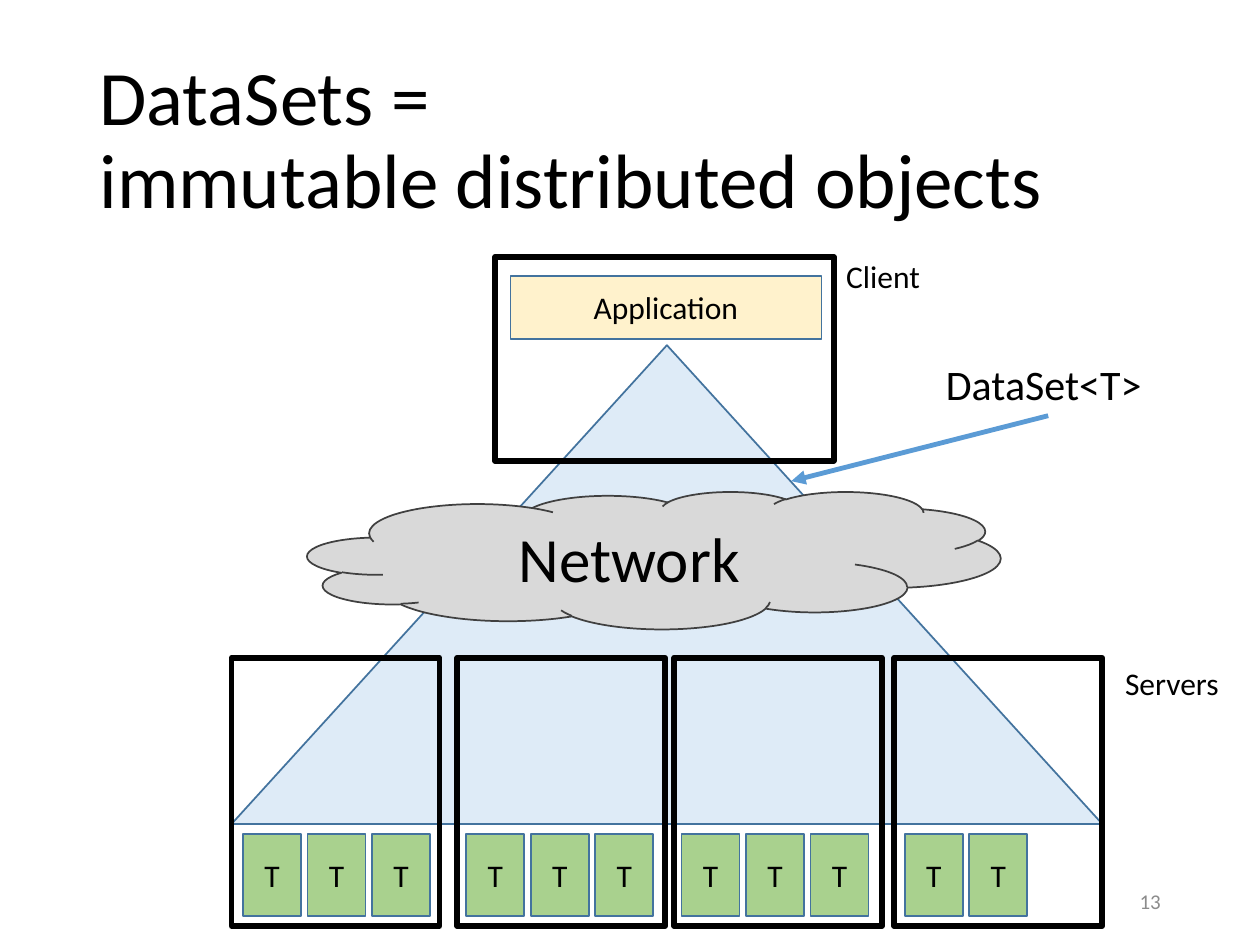
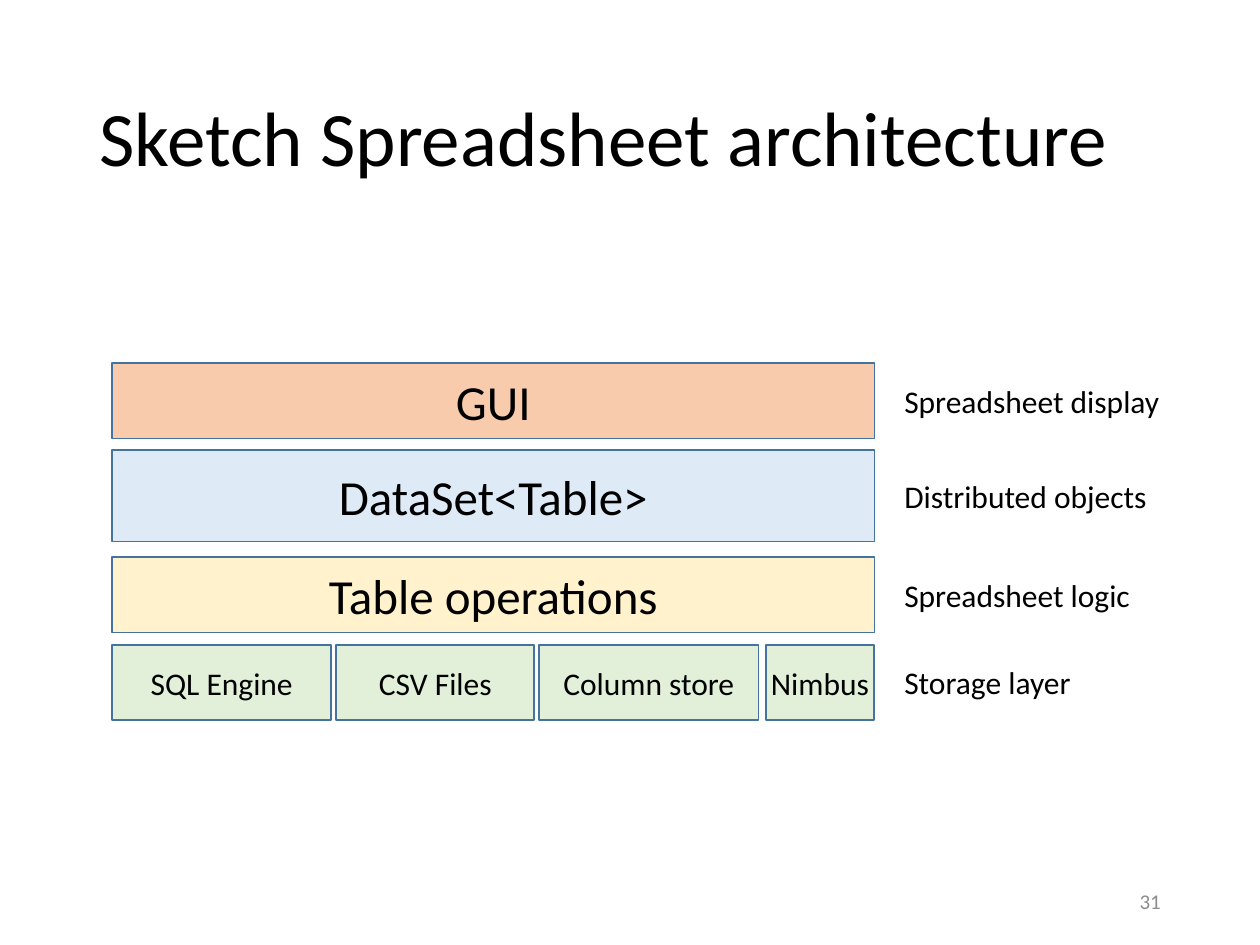
from typing import NamedTuple, Optional

from pptx import Presentation
from pptx.dml.color import RGBColor
from pptx.enum.shapes import MSO_CONNECTOR, MSO_SHAPE
from pptx.enum.text import MSO_ANCHOR, MSO_AUTO_SIZE as AutoSize, PP_ALIGN as Align
from pptx.oxml.ns import qn
from pptx.shapes.autoshape import Shape
from pptx.slide import Slide
from pptx.util import Cm, Pt
from lxml.etree import SubElement

COLORS = {
    "text": "000000",
    "page_number": "8C8C8C",
    "outline": "43739E",
    "frame": "000000",
    "cloud": "D9D9D9",
    "cloud_line": "404040",
    "arrow": "5B9BD5",
    "blue": "DEEBF7",
    "yellow": "FFF2CC",
    "orange": "F8CBAD",
    "green": "A9D18E",
    "pale_green": "E2F0D9",
}
FONT = "Calibri"
LABEL_HEIGHT = 1.02


class Block(NamedTuple):
    """A preset shape; lengths in centimetres."""
    left: float
    top: float
    width: float
    height: float
    fill: Optional[str] = None
    text: str = ""
    size: int = 18
    kind: MSO_SHAPE = MSO_SHAPE.RECTANGLE
    line: str = "outline"
    weight: float = 1


class Label(NamedTuple):
    """A one-line text box; lengths in centimetres."""
    left: float
    top: float
    width: float
    text: str
    height: float = LABEL_HEIGHT
    size: int = 18


class Server(NamedTuple):
    left: float
    first_object: float
    object_count: int


class Layer(NamedTuple):
    top: float
    height: float
    fill: str
    text: str
    note: str
    note_width: float


class Store(NamedTuple):
    left: float
    width: float
    text: str


def color(name: str) -> RGBColor:
    return RGBColor.from_string(COLORS[name])


def style_text(shape: Shape, text: str, size: int, align: Align = Align.LEFT,
               text_color: str = "text") -> None:
    frame = shape.text_frame
    frame.text = text
    for para in frame.paragraphs:
        para.alignment = align
        para.font.name = FONT
        para.font.size = Pt(size)
        para.font.color.rgb = color(text_color)


def add_block(page: Slide, block: Block) -> Shape:
    shape = page.shapes.add_shape(block.kind, Cm(block.left), Cm(block.top),
                                  Cm(block.width), Cm(block.height))
    shape.shadow.inherit = False
    if block.fill:
        shape.fill.solid()
        shape.fill.fore_color.rgb = color(block.fill)
    else:
        shape.fill.background()
    shape.line.color.rgb = color(block.line)
    shape.line.width = Pt(block.weight)
    if block.text:
        frame = shape.text_frame
        frame.word_wrap = True
        frame.vertical_anchor = MSO_ANCHOR.MIDDLE
        frame.margin_left = frame.margin_right = Cm(0)
        style_text(shape, block.text, block.size, Align.CENTER)
    return shape


def add_label(page: Slide, label: Label) -> Shape:
    box = page.shapes.add_textbox(Cm(label.left), Cm(label.top),
                                  Cm(label.width), Cm(label.height))
    box.text_frame.word_wrap = False
    box.text_frame.auto_size = AutoSize.SHAPE_TO_FIT_TEXT
    style_text(box, label.text, label.size)
    return box


def add_arrow(page: Slide, source: Shape, end_left: float, end_top: float) -> None:
    """Draw an arrow from the bottom of a shape to a point."""
    arrow = page.shapes.add_connector(MSO_CONNECTOR.STRAIGHT, Cm(0), Cm(0),
                                      Cm(end_left), Cm(end_top))
    arrow.begin_connect(source, 2)
    arrow.line.color.rgb = color("arrow")
    arrow.line.width = Pt(2.75)
    properties = arrow.element.spPr
    SubElement(properties.find(qn("a:ln")), qn("a:tailEnd"), type="triangle")
    SubElement(properties, qn("a:effectLst"))


def add_page(deck: Presentation, title: str, number: int) -> Slide:
    """Add a page with the shared title style and page number."""
    page = deck.slides.add_slide(deck.slide_layouts[5])
    heading = page.shapes.title
    heading.left, heading.top = Cm(1.75), Cm(1.02)
    heading.width, heading.height = Cm(21.9), Cm(3.68)
    heading.text_frame.auto_size = AutoSize.NONE
    heading.text_frame.word_wrap = True
    heading.text_frame.vertical_anchor = MSO_ANCHOR.MIDDLE
    style_text(heading, title, 44)
    heading.text_frame.paragraphs[0].line_spacing = 0.9

    footer = page.shapes.add_textbox(Cm(17.93), Cm(17.65), Cm(5.72), Cm(1.02))
    footer.text_frame.word_wrap = True
    footer.text_frame.vertical_anchor = MSO_ANCHOR.MIDDLE
    style_text(footer, str(number), 12, Align.RIGHT, "page_number")
    return page


def add_frame(page: Slide, left: float, top: float, width: float, height: float) -> None:
    add_block(page, Block(left, top, width, height, line="frame", weight=3.25))


def build_datasets(deck: Presentation) -> None:
    page = add_page(deck, "DataSets =\vimmutable distributed objects", 13)

    # Distributed object spanning the network
    add_block(page, Block(4.67, 6.96, 17.55, 9.65, "blue",
                          kind=MSO_SHAPE.ISOSCELES_TRIANGLE))
    add_block(page, Block(6.2, 9.91, 13.97, 2.77, "cloud", "Network", 36,
                          MSO_SHAPE.CLOUD, "cloud_line"))

    # Client
    add_frame(page, 9.98, 5.18, 6.83, 4.11)
    add_block(page, Block(10.29, 5.56, 6.27, 1.27, "yellow", "Application"))

    # Servers and the objects they hold
    servers = [Server(4.67, 4.9, 3), Server(9.22, 9.4, 3),
               Server(13.59, 13.74, 3), Server(18.03, 18.24, 2)]
    object_pitch = 1.3
    for server in servers:
        add_frame(page, server.left, 13.26, 4.19, 5.41)
        for index in range(server.object_count):
            add_block(page, Block(server.first_object + index * object_pitch, 16.81,
                                  1.17, 1.65, "green", "T"))

    # Labels
    add_label(page, Label(16.81, 5.05, 2.01, "Client"))
    add_label(page, Label(22.43, 13.26, 2.41, "Servers"))
    dataset = add_label(page, Label(18.82, 7.11, 4.62, "DataSet<T>", 1.27, 24))
    add_arrow(page, dataset, 15.95, 9.7)


def build_architecture(deck: Presentation) -> None:
    page = add_page(deck, "Sketch Spreadsheet architecture", 31)
    stack_left, stack_width, note_left = 2.26, 15.37, 17.98
    storage_top, layer_height = 13.0, 1.52

    def add_note(top: float, height: float, width: float, text: str) -> None:
        add_label(page, Label(note_left, top + (height - LABEL_HEIGHT) / 2, width, text))

    # Full-width layers
    layers = [
        Layer(7.32, layer_height, "orange", "GUI", "Spreadsheet display", 5.72),
        Layer(9.07, 1.85, "blue", "DataSet<Table>", "Distributed objects", 5.46),
        Layer(11.23, layer_height, "yellow", "Table operations", "Spreadsheet logic", 5.13),
    ]
    for layer in layers:
        add_block(page, Block(stack_left, layer.top, stack_width, layer.height,
                              layer.fill, layer.text, 28))
        add_note(layer.top, layer.height, layer.note_width, layer.note)

    # Storage layer
    stores = [Store(stack_left, 4.42, "SQL Engine"), Store(6.78, 3.99, "CSV Files"),
              Store(10.87, 4.42, "Column store"), Store(15.44, 2.18, "Nimbus")]
    for store in stores:
        add_block(page, Block(store.left, storage_top, store.width, layer_height,
                              "pale_green", store.text))
    add_note(storage_top, layer_height, 3.91, "Storage layer")


def main() -> None:
    deck = Presentation()
    deck.slide_width, deck.slide_height = Cm(25.4), Cm(19.05)
    build_datasets(deck)
    build_architecture(deck)
    deck.save("out.pptx")


if __name__ == "__main__":
    main()
